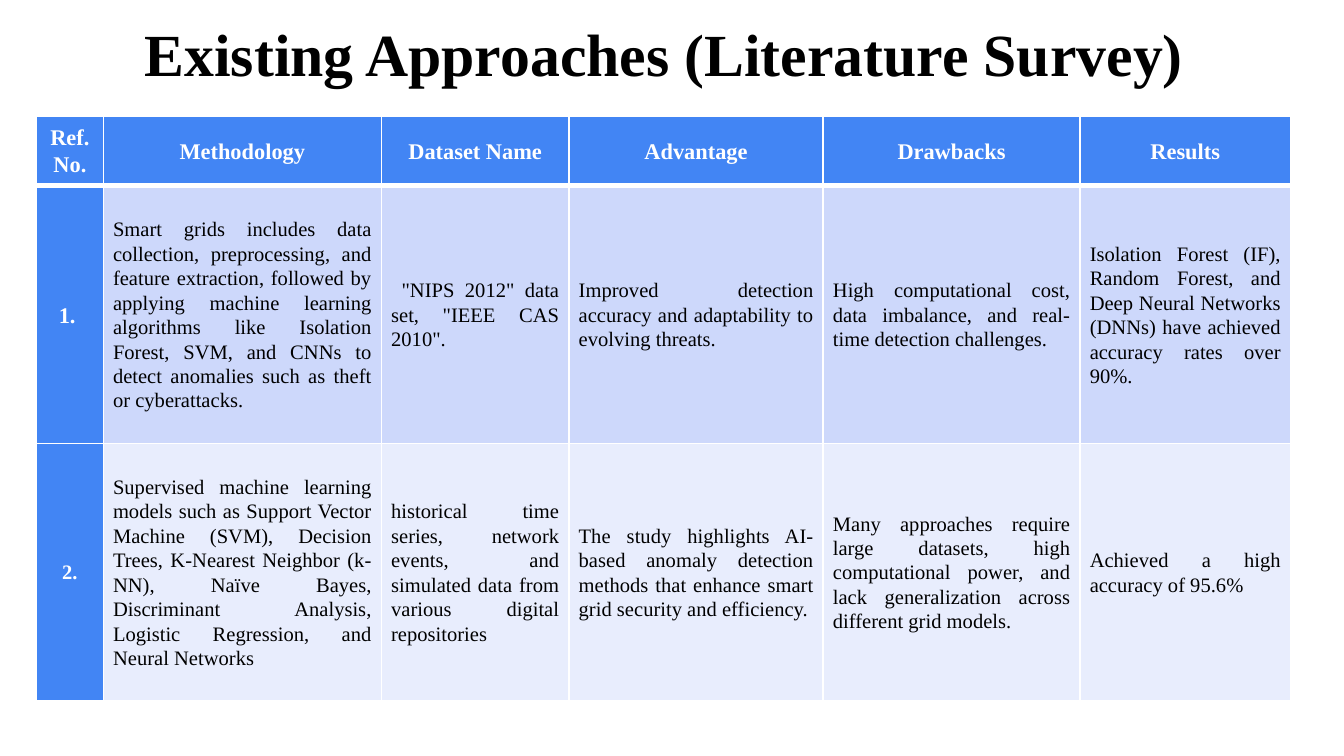
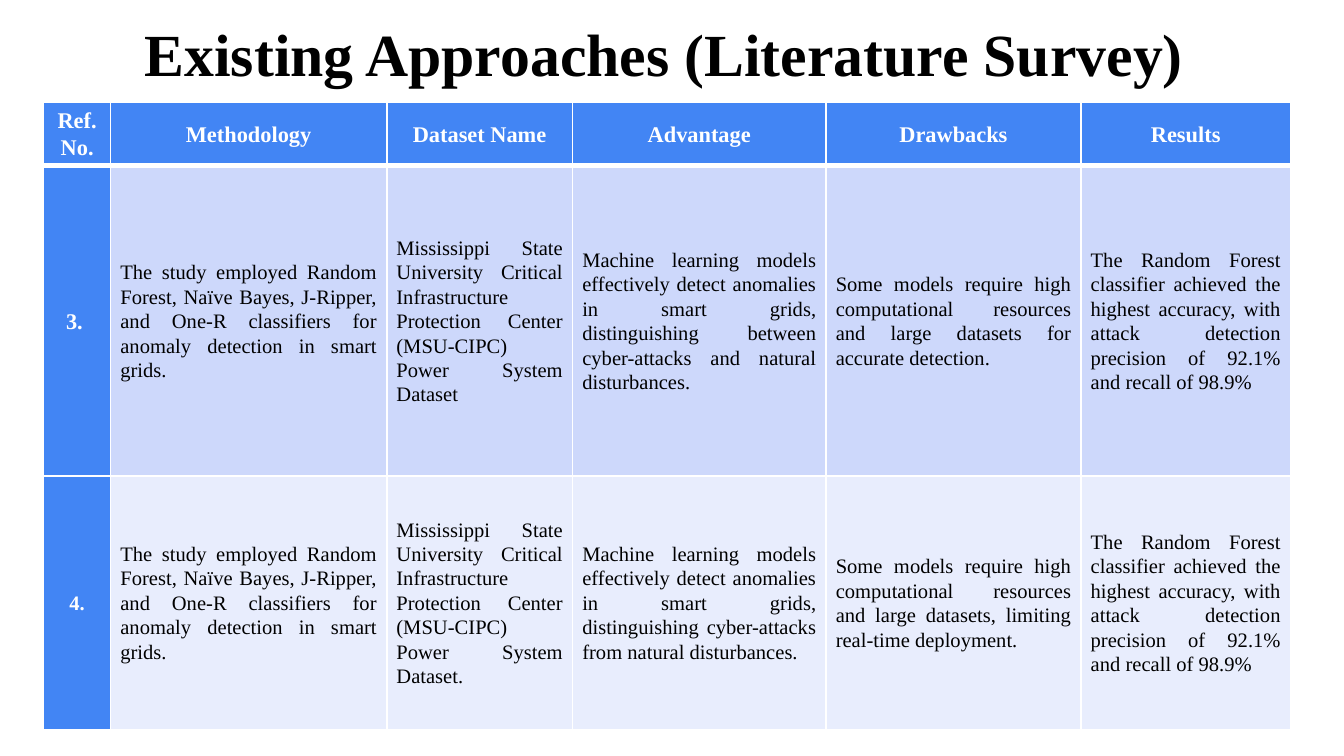
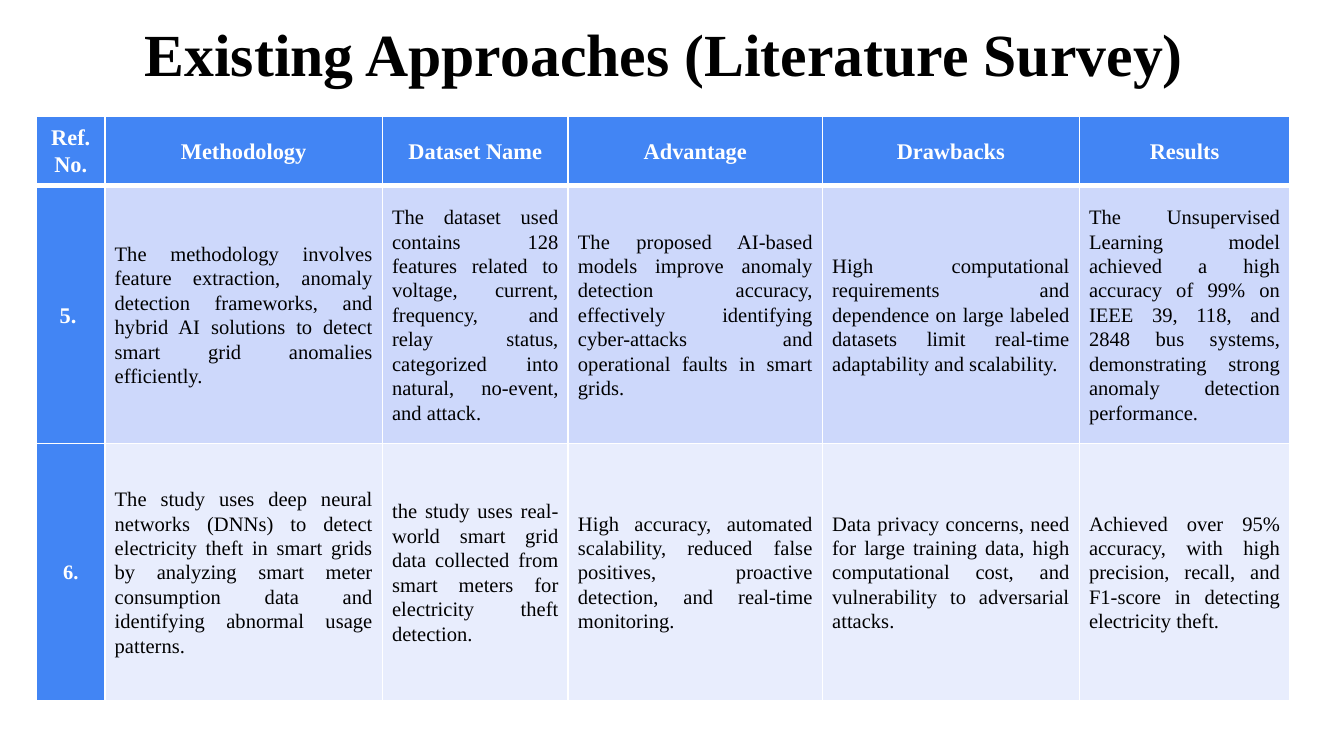
from lxml import etree
from pptx import Presentation
from pptx.dml.color import RGBColor
from pptx.enum import text
from pptx.oxml import ns
from pptx.util import Pt

WHITE = RGBColor(0xFF, 0xFF, 0xFF)
BLACK = RGBColor(0x00, 0x00, 0x00)
BLUE = RGBColor(0x42, 0x85, 0xF4)
BANDS = [RGBColor(0xCD, 0xD8, 0xFB), RGBColor(0xE8, 0xED, 0xFD)]
FONT = "Times New Roman"
TITLE = "Existing Approaches (Literature Survey) "
HEADERS = ["Ref. No.", "Methodology", "Dataset Name", "Advantage", "Drawbacks", "Results"]
THIN, THICK = 1, 3

SURVEYS = [
    {
        "position": (19.6, 62),
        "columns": [35.8, 149, 100.5, 136.2, 137.6, 112.8],
        "rows": [37.6, 138, 138],
        "entries": [
            ["1. ",
             "Smart grids includes data collection, preprocessing, and feature extraction, followed by "
             "applying machine learning algorithms like Isolation Forest, SVM, and CNNs to detect "
             "anomalies such as theft or cyberattacks. ",
             ' "NIPS 2012" data set, "IEEE CAS 2010".',
             "Improved detection accuracy and adaptability to evolving threats.",
             "High computational cost, data imbalance, and real-time detection challenges.",
             "Isolation Forest (IF), Random Forest, and Deep Neural Networks (DNNs) have achieved "
             "accuracy rates over 90%."],
            ["2.",
             "Supervised machine learning models such as Support Vector Machine (SVM), Decision Trees, "
             "K-Nearest Neighbor (k-NN), Naïve Bayes, Discriminant Analysis, Logistic Regression, and "
             "Neural Networks",
             "historical time series, network events, and simulated data from various digital repositories",
             "The study highlights AI-based anomaly detection methods that enhance smart grid security "
             "and efficiency.",
             "Many approaches require large datasets, high computational power, and lack generalization "
             "across different grid models.",
             "Achieved a high accuracy of 95.6%"],
        ],
    },
    {
        "position": (23.4, 54.5),
        "columns": [35.9, 147.9, 99.6, 135.8, 136.6, 112.2],
        "rows": [34.4, 166, 136],
        "entries": [
            ["3. ",
             "The study employed Random Forest, Naïve Bayes, J-Ripper, and One-R classifiers for anomaly "
             "detection in smart grids.",
             "Mississippi State University Critical Infrastructure Protection Center (MSU-CIPC) Power "
             "System Dataset",
             "Machine learning models effectively detect anomalies in smart grids, distinguishing between "
             "cyber-attacks and natural disturbances.",
             "Some models require high computational resources and large datasets for accurate detection.",
             "The Random Forest classifier achieved the highest accuracy, with attack detection precision "
             "of 92.1% and recall of 98.9%"],
            ["4.",
             "The study employed Random Forest, Naïve Bayes, J-Ripper, and One-R classifiers for anomaly "
             "detection in smart grids.",
             "Mississippi State University Critical Infrastructure Protection Center (MSU-CIPC) Power "
             "System Dataset.",
             "Machine learning models effectively detect anomalies in smart grids, distinguishing "
             "cyber-attacks from natural disturbances.",
             "Some models require high computational resources and large datasets, limiting real-time "
             "deployment.",
             "The Random Forest classifier achieved the highest accuracy, with attack detection precision "
             "of 92.1% and recall of 98.9%"],
        ],
    },
    {
        "position": (19.6, 62),
        "columns": [36.7, 148.6, 99.6, 136.2, 137.6, 112.8],
        "rows": [37.6, 138, 138],
        "entries": [
            ["5. ",
             "The methodology involves feature extraction, anomaly detection frameworks, and hybrid AI "
             "solutions to detect smart grid anomalies efficiently.",
             "The dataset used contains 128 features related to voltage, current, frequency, and relay "
             "status, categorized into natural, no-event, and attack.",
             "The proposed AI-based models improve anomaly detection accuracy, effectively identifying "
             "cyber-attacks and operational faults in smart grids.",
             "High computational requirements and dependence on large labeled datasets limit real-time "
             "adaptability and scalability.",
             "The Unsupervised Learning model achieved a high accuracy of 99% on IEEE 39, 118, and 2848 "
             "bus systems, demonstrating strong anomaly detection performance."],
            ["6.",
             "The study uses deep neural networks (DNNs) to detect electricity theft in smart grids by "
             "analyzing smart meter consumption data and identifying abnormal usage patterns.",
             "the study uses real-world smart grid data collected from smart meters for electricity theft "
             "detection.",
             "High accuracy, automated scalability, reduced false positives, proactive detection, and "
             "real-time monitoring.",
             "Data privacy concerns, need for large training data, high computational cost, and "
             "vulnerability to adversarial attacks.",
             "Achieved over 95% accuracy, with high precision, recall, and F1-score in detecting "
             "electricity theft."],
        ],
    },
]


def format_paragraph(paragraph, size, color, bold, alignment, spacing):
    """Set the font, alignment and line spacing of a paragraph."""
    font = paragraph.font
    font.name, font.size, font.bold = FONT, Pt(size), bold
    font.color.rgb = color
    paragraph.alignment = alignment
    paragraph.line_spacing = spacing


def add_title(slide):
    """Place and format the slide title."""
    title = slide.shapes.title
    title.left, title.top, title.width, title.height = Pt(0), Pt(-0.7), Pt(720), Pt(62.6)
    frame = title.text_frame
    frame.text = TITLE
    frame.vertical_anchor = text.MSO_ANCHOR.MIDDLE
    frame.margin_left = frame.margin_right = frame.margin_top = frame.margin_bottom = Pt(7.2)
    format_paragraph(frame.paragraphs[0], 32, BLACK, True, text.PP_ALIGN.CENTER, 0.9)


def set_borders(cell, top, bottom):
    """Draw white borders around a cell."""
    properties = cell._tc.get_or_add_tcPr()
    for side, width in (("L", THIN), ("R", THIN), ("T", top), ("B", bottom)):
        line = etree.SubElement(properties, ns.qn(f"a:ln{side}"), w=str(Pt(width)))
        fill = etree.SubElement(line, ns.qn("a:solidFill"))
        etree.SubElement(fill, ns.qn("a:srgbClr"), val=str(WHITE))


def fill_cell(cell, words, row, column):
    """Write and style one cell according to its place in the table."""
    is_label = row == 0 or column == 0
    set_borders(cell, THICK if row == 1 else THIN, THICK if row == 0 else THIN)
    cell.fill.solid()
    cell.fill.fore_color.rgb = BLUE if is_label else BANDS[row - 1]
    cell.vertical_anchor = text.MSO_ANCHOR.MIDDLE
    cell.margin_left = cell.margin_right = Pt(5.2)
    cell.margin_top = cell.margin_bottom = Pt(0)
    cell.text = words
    format_paragraph(
        cell.text_frame.paragraphs[0],
        12 if is_label and row < 2 else 11,
        WHITE if is_label else BLACK,
        is_label,
        text.PP_ALIGN.CENTER if is_label else text.PP_ALIGN.JUSTIFY,
        1.07,
    )


def add_survey_table(slide, position, columns, rows, entries):
    """Add the table of surveyed approaches."""
    left, top = position
    table = slide.shapes.add_table(
        len(rows), len(columns), Pt(left), Pt(top), Pt(sum(columns)), Pt(sum(rows))
    ).table
    for column, width in zip(table.columns, columns):
        column.width = Pt(width)
    for row, height in zip(table.rows, rows):
        row.height = Pt(height)
    for row, values in enumerate([HEADERS] + entries):
        for column, words in enumerate(values):
            fill_cell(table.cell(row, column), words, row, column)


def main():
    """Build the literature survey slides."""
    presentation = Presentation()
    presentation.slide_width, presentation.slide_height = Pt(720), Pt(405)
    for survey in SURVEYS:
        slide = presentation.slides.add_slide(presentation.slide_layouts[5])
        add_title(slide)
        add_survey_table(slide, **survey)
    presentation.save("out.pptx")


if __name__ == "__main__":
    main()
